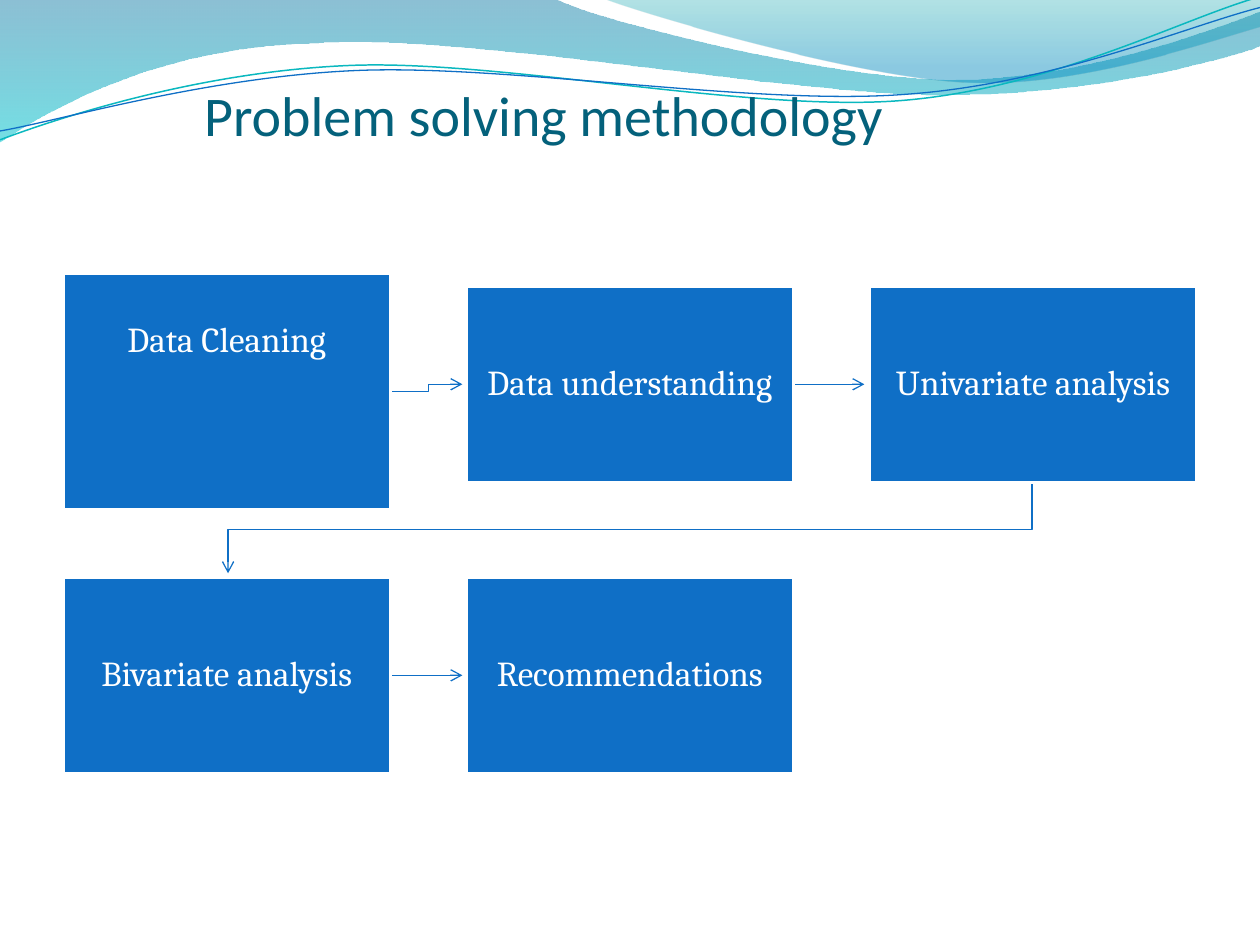
import math

import lxml.etree
import pptx
import pptx.dml.color
import pptx.enum.shapes
import pptx.enum.text
import pptx.oxml.ns
import pptx.util

Inches = pptx.util.Inches
Pt = pptx.util.Pt
qn = pptx.oxml.ns.qn

COLORS = {
    "blue": "0F6FC6", "white": "FFFFFF", "title": "04617B", "teal_line": "0AB8BF",
    "deep": "0074A1", "aqua": "00C6CF", "sea": "00A1A9", "sky": "008BBF",
}
BOX_WIDTH, BOX_HEIGHT, COLUMN_STEP = 2.6, 1.56, 3.2
LEFT, UPPER_ROW, LOWER_ROW = 0.5, 2.27, 4.58
WAVE_TILT = -2.7

BANDS = [
    ([(0, 0), (4.4, -0.01), (4.76, 0.17, 6.64, 0.63, 7.58, 0.63),
      (8.53, 0.63, 9.58, 0.26, 10, 0.09), (10.01, 0.36),
      (9.83, 0.44, 8.7, 0.76, 7.46, 0.75), (6.22, 0.75, 3.82, 0.28, 2.57, 0.34),
      (1.29, 0.36, 0.46, 0.83, -0.01, 1.13), (0, 0)],
     [("deep", 0, 45), ("aqua", 1, 55)]),
    ([(4.79, -0.01), (5.09, 0.11, 6.82, 0.62, 7.69, 0.65),
      (8.56, 0.69, 9.61, 0.32, 10, 0.21), (10, 0), (4.79, -0.01)],
     [("sea", 0, 30), ("sky", 0.8, 45)]),
]
WAVES = [
    ([(0, 1.11), (0.48, 0.93, 1.58, 0.57, 2.77, 0.52), (3.95, 0.47, 5.93, 0.89, 7.13, 0.8),
      (8.33, 0.71, 9.38, 0.15, 9.98, -0.02)], (4.99, 0.57), "teal_line", 0.85),
    ([(0, 1.04), (0.47, 0.96, 1.64, 0.61, 2.83, 0.56), (4.03, 0.51, 5.97, 0.84, 7.17, 0.75),
      (8.36, 0.67, 9.41, 0.21, 10, 0.06)], (5, 0.59), "blue", 0.75),
]
ARROWS = [
    [(3.1, 3.11), (3.4, 3.11), (3.4, 3.05), (3.67, 3.05)],
    [(6.3, 3.05), (6.86, 3.05)],
    [(8.19, 3.82), (8.19, 4.2), (1.81, 4.2), (1.81, 4.55)],
    [(3.1, 5.36), (3.67, 5.36)],
]
BOXES = [
    ("Data Cleaning", 0, 2.17, 1.88, 0.96),
    ("Data understanding", 1, UPPER_ROW, BOX_HEIGHT, 0.16),
    ("Univariate analysis", 2, UPPER_ROW, BOX_HEIGHT, 0.16),
    ("Bivariate analysis", 0, LOWER_ROW, BOX_HEIGHT, 0.16),
    ("Recommendations", 1, LOWER_ROW, BOX_HEIGHT, 0.16),
]


def color(name):
    """Return the named colour."""
    return pptx.dml.color.RGBColor.from_string(COLORS[name])


def apply_format(target, values):
    """Set every attribute in the dict of format values."""
    for name, value in values.items():
        setattr(target, name, value)


def set_line(shape, name, width):
    """Give a shape or connector a solid line."""
    shape.line.color.rgb = color(name)
    shape.line.width = Pt(width)


def write_text(shape, text, frame_format, paragraph_format, font_format, font_color):
    """Write one formatted paragraph into a shape."""
    frame = shape.text_frame
    frame.text = text
    paragraph = frame.paragraphs[0]
    apply_format(frame, frame_format)
    apply_format(paragraph, paragraph_format)
    apply_format(paragraph.runs[0].font, font_format)
    paragraph.runs[0].font.color.rgb = color(font_color)


def point_pairs(segment):
    """Split a flat segment into points."""
    return list(zip(segment[::2], segment[1::2]))


def turn(segment, center, degrees):
    """Rotate the points of a segment about a center."""
    cosine, sine = math.cos(math.radians(degrees)), math.sin(math.radians(degrees))
    turned = []
    for x, y in point_pairs(segment):
        across, down = x - center[0], y - center[1]
        turned += [center[0] + across * cosine - down * sine,
                   center[1] + across * sine + down * cosine]
    return tuple(turned)


def add_outline(slide, segments, close):
    """Add a freeform whose six-number segments are cubic curves."""
    anchors = [(Inches(segment[-2]), Inches(segment[-1])) for segment in segments]
    builder = slide.shapes.build_freeform(*anchors[0])
    builder.add_line_segments(anchors[1:], close=close)
    shape = builder.convert_to_shape()
    shape.shadow.inherit = False
    if not close:
        shape.fill.background()
    lines = list(shape.element.iter(qn("a:lnTo")))
    for line, segment in zip(lines, segments[1:]):
        if len(segment) == 6:
            curve = lxml.etree.Element(qn("a:cubicBezTo"))
            for x, y in point_pairs(segment):
                lxml.etree.SubElement(curve, qn("a:pt"), x=str(Inches(x) - shape.left),
                                      y=str(Inches(y) - shape.top))
            line.getparent().replace(line, curve)
    return shape


def add_band(slide, segments, stops):
    """Add a translucent band with a vertical gradient."""
    shape = add_outline(slide, segments, True)
    shape.line.fill.background()
    shape.fill.gradient()
    shape.fill.gradient_angle = 270
    for stop, (name, position, _) in zip(shape.fill.gradient_stops, stops):
        stop.color.rgb = color(name)
        stop.position = position
    for element, (_, _, opacity) in zip(shape.element.iter(qn("a:srgbClr")), stops):
        lxml.etree.SubElement(element, qn("a:alpha"), val=str(opacity * 1000))


def add_wave(slide, segments, center, name, width):
    """Add a tilted open curve."""
    level = [turn(segment, center, -WAVE_TILT) for segment in segments]
    wave = add_outline(slide, level, False)
    wave.rotation = WAVE_TILT
    set_line(wave, name, width)


def add_arrow(slide, points):
    """Add a straight connector or a bent line with an arrowhead."""
    if len(points) == 2:
        ends = [Inches(value) for point in points for value in point]
        arrow = slide.shapes.add_connector(pptx.enum.shapes.MSO_CONNECTOR.STRAIGHT, *ends)
        set_line(arrow, "blue", 0.75)
        lxml.etree.SubElement(arrow.element.spPr, qn("a:effectLst"))
    else:
        arrow = add_outline(slide, points, False)
        set_line(arrow, "blue", 0.75)
    line = arrow.element.spPr.find(qn("a:ln"))
    lxml.etree.SubElement(line, qn("a:tailEnd"), type="arrow")


def add_box(slide, text, column, top, height, bottom_margin):
    """Add one step of the process."""
    shape = slide.shapes.add_shape(
        pptx.enum.shapes.MSO_SHAPE.RECTANGLE, Inches(LEFT + column * COLUMN_STEP),
        Inches(top), Inches(BOX_WIDTH), Inches(height))
    shape.shadow.inherit = False
    shape.fill.solid()
    shape.fill.fore_color.rgb = color("blue")
    set_line(shape, "white", 2)
    margin = Inches(0.16)
    write_text(
        shape, text,
        {"margin_left": margin, "margin_right": margin, "margin_top": margin,
         "margin_bottom": Inches(bottom_margin), "word_wrap": True,
         "vertical_anchor": pptx.enum.text.MSO_ANCHOR.MIDDLE},
        {"alignment": pptx.enum.text.PP_ALIGN.CENTER, "line_spacing": 0.9},
        {"name": "Cambria", "size": Pt(20)}, "white")


def add_title(slide, text):
    """Place and format the title in front of the waves."""
    title = slide.shapes.title
    apply_format(title, {"left": Inches(0.42), "top": Inches(0.25),
                         "width": Inches(9.33), "height": Inches(0.92)})
    write_text(
        title, text,
        {"margin_left": Inches(1.2), "margin_right": 0, "margin_top": Inches(0.05),
         "margin_bottom": 0, "word_wrap": True,
         "vertical_anchor": pptx.enum.text.MSO_ANCHOR.BOTTOM},
        {"alignment": pptx.enum.text.PP_ALIGN.LEFT},
        {"name": "Calibri", "size": Pt(32)}, "title")
    title.element.getparent().append(title.element)


def main():
    """Build the slide and save it."""
    presentation = pptx.Presentation()
    apply_format(presentation, {"slide_width": Inches(10), "slide_height": Inches(7.5)})
    slide = presentation.slides.add_slide(presentation.slide_layouts[5])
    for band in BANDS:
        add_band(slide, *band)
    for wave in WAVES:
        add_wave(slide, *wave)
    add_title(slide, "Problem solving methodology")
    for arrow in ARROWS:
        add_arrow(slide, arrow)
    for box in BOXES:
        add_box(slide, *box)
    presentation.save("out.pptx")


main()
